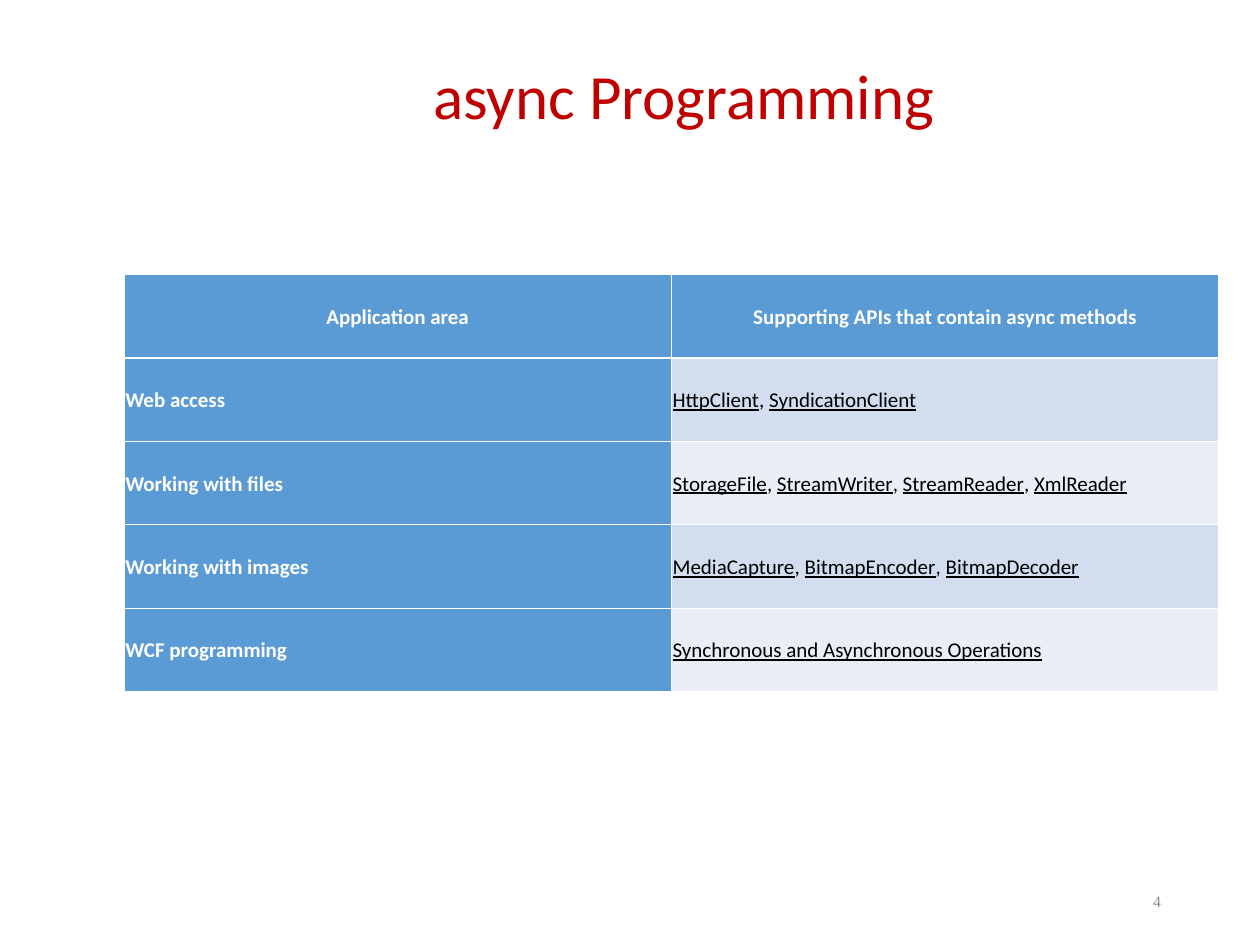
from dataclasses import dataclass
from typing import Any

from lxml import etree
from pptx import Presentation, util as u
from pptx.dml import color
from pptx.enum import text
from pptx.oxml import ns

WHITE, BLACK, RED, GREY = "FFFFFF", "000000", "C00000", "898989"
BLUE, BANDS = "5B9BD5", ("D2DEEF", "EAEFF7")
HEADER = ("Application area", "Supporting APIs that contain async methods")
AREAS = {
    "Web access": ("HttpClient", "SyndicationClient"),
    "Working with files": ("StorageFile", "StreamWriter", "StreamReader", "XmlReader"),
    "Working with images": ("MediaCapture", "BitmapEncoder", "BitmapDecoder"),
    "WCF programming": ("Synchronous and Asynchronous Operations",),
}


def rgb(value):
    return color.RGBColor.from_string(value)


def assign(target, values):
    for name, value in values.items():
        setattr(target, name, value)


@dataclass
class Painter:
    """Holds the slide and its text style, and draws each kind of element."""

    page: Any
    family: str = "Calibri"
    size: float = 12
    thin: float = 0.45
    thick: float = 1.47

    def add_words(self, para, words, ink, **font):
        span = para.add_run()
        span.text = words
        assign(span.font, {"name": self.family, "size": u.Pt(self.size), "bold": False, **font})
        span.font.color.rgb = rgb(ink)

    def place(self, box, left, top, width, height):
        assign(box, dict(left=u.Pt(left), top=u.Pt(top), width=u.Pt(width), height=u.Pt(height)))

    def title(self, words, *bounds):
        box = self.page.shapes.title
        self.place(box, *bounds)
        assign(box.text_frame, {
            "word_wrap": True, "auto_size": text.MSO_AUTO_SIZE.NONE,
            "vertical_anchor": text.MSO_ANCHOR.MIDDLE,
            "margin_top": u.Pt(23.5), "margin_bottom": 0,
        })
        para = box.text_frame.paragraphs[0]
        assign(para, {"alignment": text.PP_ALIGN.CENTER, "line_spacing": 0.9})
        self.add_words(para, words, RED, size=u.Pt(36))

    def number(self, words, *bounds):
        box = self.page.shapes.add_textbox(*map(u.Pt, bounds))
        assign(box.text_frame, {"word_wrap": True, "vertical_anchor": text.MSO_ANCHOR.MIDDLE})
        para = box.text_frame.paragraphs[0]
        para.alignment = text.PP_ALIGN.RIGHT
        self.add_words(para, words, GREY, name="Times New Roman", size=u.Pt(9))

    def borders(self, cell, widths):
        properties = cell._tc.get_or_add_tcPr()
        for side, width in widths.items():
            line = etree.SubElement(properties, ns.qn(f"a:ln{side}"), w=str(int(u.Pt(width))))
            fill = etree.SubElement(line, ns.qn("a:solidFill"))
            etree.SubElement(fill, ns.qn("a:srgbClr"), val=WHITE)

    def cell(self, cell, fill, row, align):
        assign(cell, {
            "vertical_anchor": text.MSO_ANCHOR.MIDDLE,
            "margin_left": u.Pt(0.7), "margin_right": u.Pt(0.7),
            "margin_top": u.Pt(3.6), "margin_bottom": u.Pt(3.6),
        })
        self.borders(cell, {
            "L": self.thin, "R": self.thin,
            "T": self.thick if row == 1 else self.thin,
            "B": self.thick if row == 0 else self.thin,
        })
        cell.fill.solid()
        cell.fill.fore_color.rgb = rgb(fill)
        para = cell.text_frame.paragraphs[0]
        assign(para, {"alignment": align, "line_spacing": 1.07, "space_after": u.Pt(8)})
        return para

    def table(self, header, areas, *bounds):
        frame = self.page.shapes.add_table(len(areas) + 1, len(header), *map(u.Pt, bounds))
        grid = frame.table
        grid.horz_banding = False
        for column, words in enumerate(header):
            para = self.cell(grid.cell(0, column), BLUE, 0, text.PP_ALIGN.CENTER)
            self.add_words(para, words, WHITE, bold=True)
        for row, (area, methods) in enumerate(areas.items(), 1):
            para = self.cell(grid.cell(row, 0), BLUE, row, text.PP_ALIGN.LEFT)
            self.add_words(para, area, WHITE, bold=True)
            band = BANDS[(row - 1) % len(BANDS)]
            para = self.cell(grid.cell(row, 1), band, row, text.PP_ALIGN.LEFT)
            for index, method in enumerate(methods):
                if index:
                    self.add_words(para, ", ", BLACK)
                self.add_words(para, method, BLACK, underline=True)


def main():
    deck = Presentation()
    assign(deck, {"slide_width": u.Pt(720), "slide_height": u.Pt(540)})
    painter = Painter(deck.slides.add_slide(deck.slide_layouts[5]))
    painter.title("async Programming", 84, 0, 613.5, 90)
    painter.table(HEADER, AREAS, 70.9, 157, 625.6, 238)
    painter.number("4", 508.5, 500.5, 162, 28.75)
    deck.save("out.pptx")


if __name__ == "__main__":
    main()
